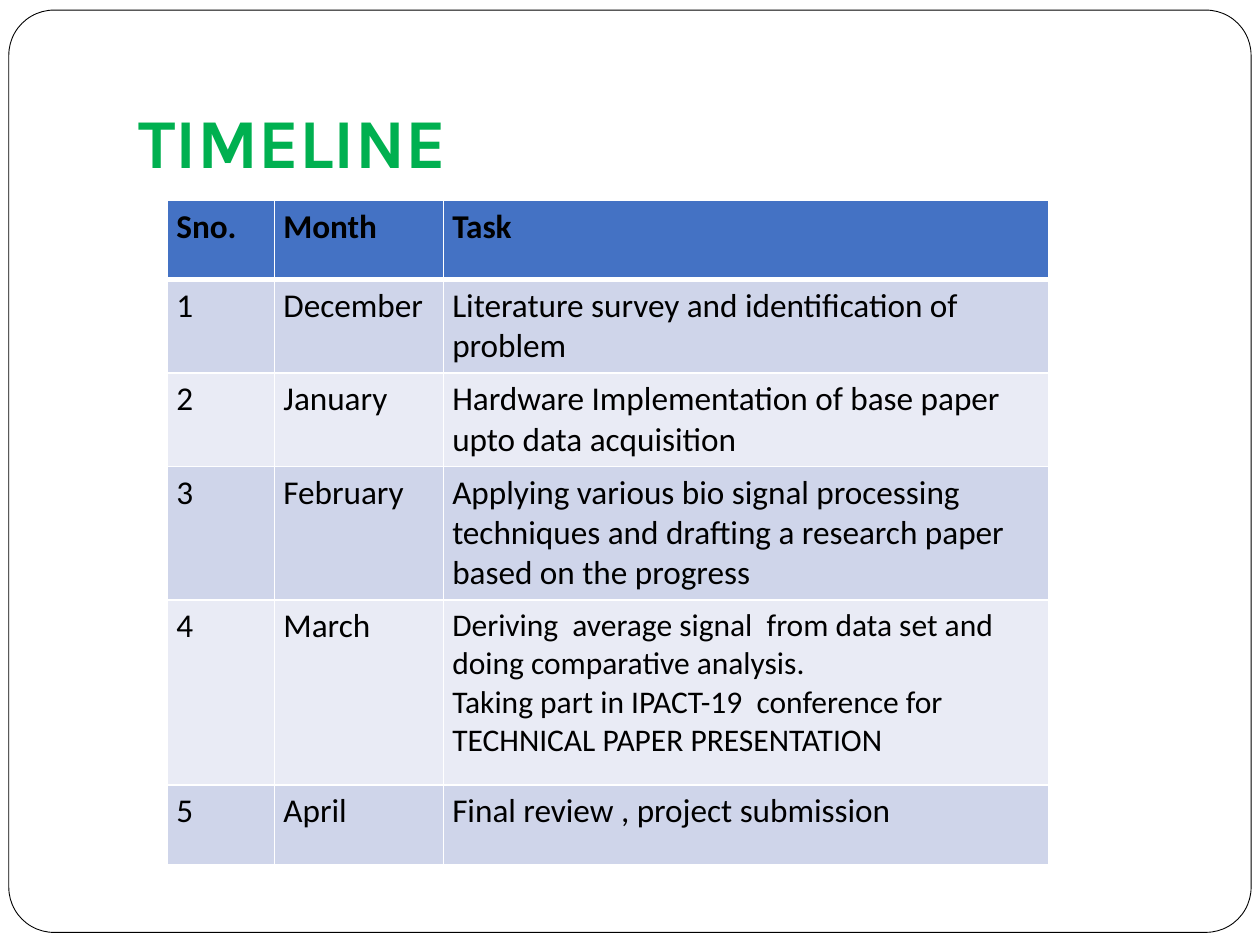
import pptx
import pptx.dml.color
import pptx.enum.shapes
import pptx.enum.text
import pptx.oxml.ns
import pptx.util
import lxml.etree

SLIDE_WIDTH, SLIDE_HEIGHT = 10, 7.5
COLUMN_WIDTHS = [0.85, 1.34, 4.8]
ROW_HEIGHTS = [0.63, 0.73, 0.73, 1.06, 1.47, 0.63]
TASKS = [
    ("Sno.", "Month", "Task"),
    ("1", "December", "Literature survey and identification of problem"),
    ("2", "January", "Hardware Implementation of base paper upto data acquisition"),
    ("3", "February", "Applying various bio signal processing techniques "
                      "and drafting a research paper based on the progress"),
    ("4", "March", "Deriving  average signal  from data set and doing comparative analysis.\n"
                   "Taking part in IPACT-19  conference for TECHNICAL PAPER PRESENTATION"),
    ("5", "April", "Final review , project submission"),
]


def color(hex_string):
    return pptx.dml.color.RGBColor.from_string(hex_string)


class TimelineSlide:
    white, black, green = "FFFFFF", "000000", "00B050"
    header_fill, band_fills = "4472C4", ("E9EBF5", "CFD5EA")
    title_font, body_font = "Karla", "Calibri"

    def __init__(self, presentation):
        self.slide = presentation.slides.add_slide(presentation.slide_layouts[5])
        self.width = presentation.slide_width
        self.height = presentation.slide_height

    def box(self, left, top, width, height):
        return (int(left * self.width), int(top * self.height),
                int(width * self.width), int(height * self.height))

    def format_text(self, text_frame, font_name, size, hex_string, bold):
        for paragraph in text_frame.paragraphs:
            paragraph.alignment = pptx.enum.text.PP_ALIGN.LEFT
            for run in paragraph.runs:
                run.font.name = font_name
                run.font.size = pptx.util.Pt(size)
                run.font.bold = bold
                run.font.color.rgb = color(hex_string)

    def add_frame(self, *shares):
        shape = self.slide.shapes.add_shape(
            pptx.enum.shapes.MSO_SHAPE.ROUNDED_RECTANGLE, *self.box(*shares))
        shape.adjustments[0] = 0.049
        shape.shadow.inherit = False
        shape.fill.solid()
        shape.fill.fore_color.rgb = color(self.white)
        shape.line.color.rgb = color(self.black)
        shape.line.width = pptx.util.Pt(0.5)
        self.slide.shapes.title.element.addprevious(shape.element)

    def set_title(self, text, *shares):
        title = self.slide.shapes.title
        title.left, title.top, title.width, title.height = self.box(*shares)
        text_frame = title.text_frame
        text_frame.text = text
        text_frame.word_wrap = True
        text_frame.auto_size = pptx.enum.text.MSO_AUTO_SIZE.NONE
        text_frame.vertical_anchor = pptx.enum.text.MSO_ANCHOR.BOTTOM
        text_frame.margin_bottom = pptx.util.Inches(0.1)
        self.format_text(text_frame, self.title_font, 40, self.green, True)

    def set_borders(self, cell, top, bottom):
        properties = cell._tc.get_or_add_tcPr()
        for side, points in (("L", 1), ("R", 1), ("T", top), ("B", bottom)):
            line = lxml.etree.SubElement(
                properties, pptx.oxml.ns.qn(f"a:ln{side}"), w=str(pptx.util.Pt(points)))
            fill = lxml.etree.SubElement(line, pptx.oxml.ns.qn("a:solidFill"))
            lxml.etree.SubElement(fill, pptx.oxml.ns.qn("a:srgbClr"), val=self.white)

    def fill_cell(self, cell, text, row):
        header = row == 0
        self.set_borders(cell, 3 if row == 1 else 1, 3 if header else 1)
        cell.fill.solid()
        cell.fill.fore_color.rgb = color(self.header_fill if header else self.band_fills[row % 2])
        cell.margin_left = cell.margin_right = pptx.util.Inches(0.07)
        cell.text_frame.text = text
        size = 18 if "\n" in text else 19
        self.format_text(cell.text_frame, self.body_font, size, self.black, header)

    def add_table(self, rows, column_widths, row_heights, left, top):
        shares = (left, top, sum(column_widths) / SLIDE_WIDTH, sum(row_heights) / SLIDE_HEIGHT)
        table = self.slide.shapes.add_table(
            len(rows), len(column_widths), *self.box(*shares)).table
        for column, width in zip(table.columns, column_widths):
            column.width = pptx.util.Inches(width)
        for index, (texts, height) in enumerate(zip(rows, row_heights)):
            table.rows[index].height = pptx.util.Inches(height)
            for cell, text in zip(table.rows[index].cells, texts):
                self.fill_cell(cell, text, index)


def main():
    presentation = pptx.Presentation()
    presentation.slide_width = pptx.util.Inches(SLIDE_WIDTH)
    presentation.slide_height = pptx.util.Inches(SLIDE_HEIGHT)
    timeline = TimelineSlide(presentation)
    timeline.add_frame(0.007, 0.08 / SLIDE_HEIGHT, 0.986, 7.32 / SLIDE_HEIGHT)
    timeline.set_title("TIMELINE", 0.1, 0.04, 0.85, 1.25 / SLIDE_HEIGHT)
    timeline.add_table(TASKS, COLUMN_WIDTHS, ROW_HEIGHTS, 0.133, 1.59 / SLIDE_HEIGHT)
    presentation.save("out.pptx")


if __name__ == "__main__":
    main()
